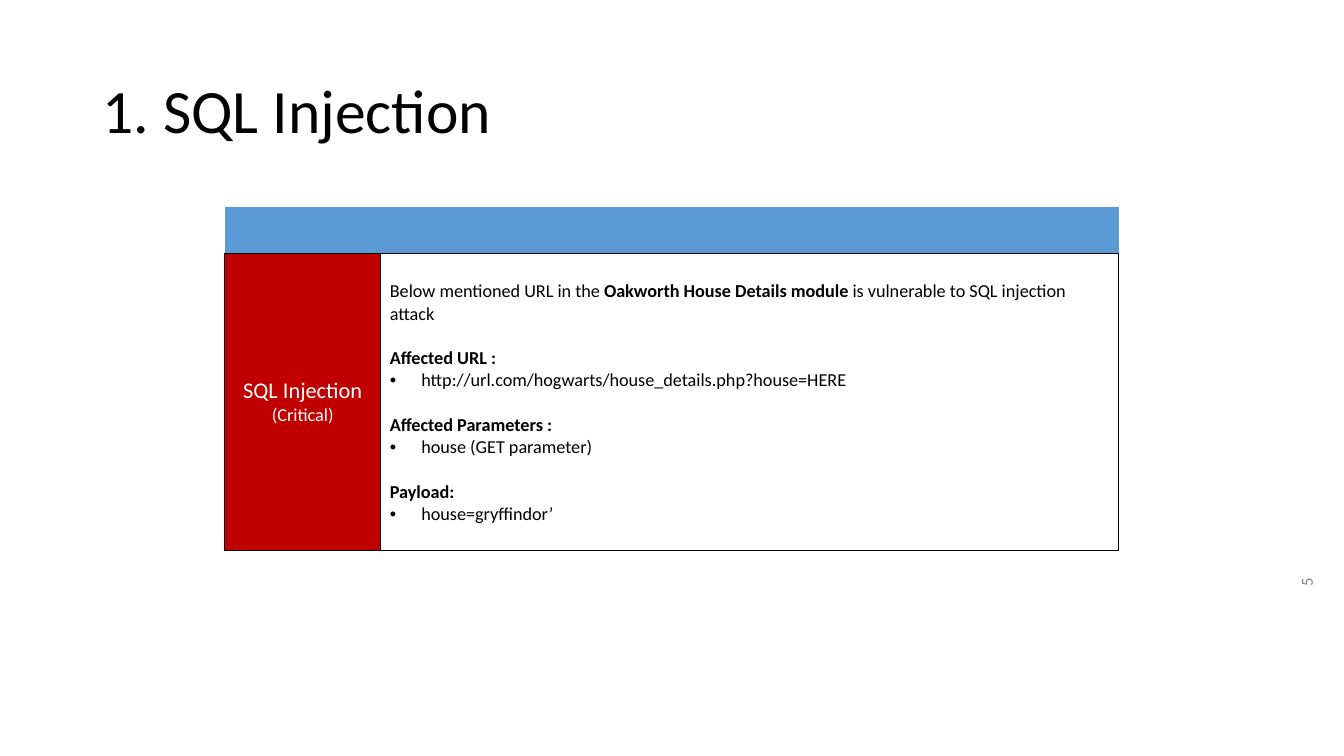
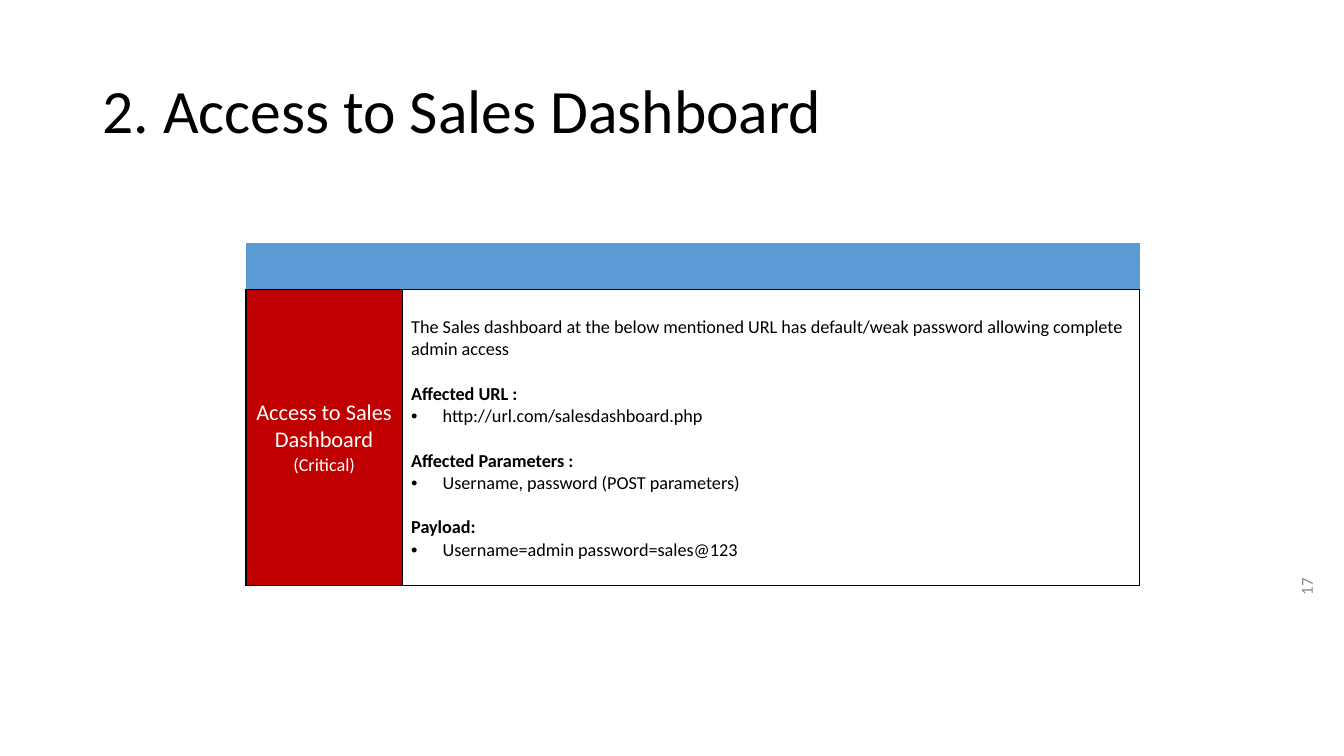
from lxml.etree import SubElement
from pptx import Presentation
from pptx.dml.color import RGBColor
from pptx.enum.text import MSO_ANCHOR, PP_ALIGN
from pptx.oxml.ns import qn
from pptx.util import Pt

BLACK = RGBColor(0x00, 0x00, 0x00)
WHITE = RGBColor(0xFF, 0xFF, 0xFF)
GREY = RGBColor(0x88, 0x88, 0x88)
HEADER_BLUE = RGBColor(0x5B, 0x9B, 0xD5)
CRITICAL_RED = RGBColor(0xC0, 0x00, 0x00)

FONT = "Calibri"
DETAIL_SIZE = 13
TITLE_ONLY = 5


class FindingDeck:
    """Holds the presentation, its style and the slide being built."""

    def __init__(self):
        self.presentation = Presentation()
        self.presentation.slide_width = Pt(960)
        self.presentation.slide_height = Pt(540)
        self.slide = None

    def add_slide(self, title, number):
        layout = self.presentation.slide_layouts[TITLE_ONLY]
        self.slide = self.presentation.slides.add_slide(layout)
        self.add_page_number(number)
        self.add_title(title)

    def style(self, paragraph, size, color=BLACK, align=PP_ALIGN.LEFT, bold=False):
        paragraph.alignment = align
        font = paragraph.font
        font.name = FONT
        font.size = Pt(size)
        font.bold = bold
        font.color.rgb = color

    def add_title(self, text):
        title = self.slide.shapes.title
        title.left, title.top, title.width, title.height = Pt(66), Pt(29), Pt(828), Pt(104)
        frame = title.text_frame
        frame.text = text
        frame.vertical_anchor = MSO_ANCHOR.MIDDLE
        paragraph = frame.paragraphs[0]
        paragraph.line_spacing = 0.9
        self.style(paragraph, 44)

    def add_page_number(self, number):
        box = self.slide.shapes.add_textbox(Pt(881), Pt(440), Pt(104), Pt(36))
        box.rotation = 270
        frame = box.text_frame
        frame.word_wrap = True
        frame.vertical_anchor = MSO_ANCHOR.MIDDLE
        frame.text = str(number)
        self.style(frame.paragraphs[0], 12, GREY, PP_ALIGN.RIGHT)

    def add_finding(self, left, top, label, summary, sections):
        """Add the table; summary is a list of (text, bold) runs."""
        widths, heights = (111.5, 527), (33, 212)
        frame = self.slide.shapes.add_table(
            2, 2, Pt(left), Pt(top), Pt(sum(widths)), Pt(sum(heights)))
        table = frame.table
        table.first_row = table.horz_banding = False
        for column, width in zip(table.columns, widths):
            column.width = Pt(width)
        for row, height in zip(table.rows, heights):
            row.height = Pt(height)

        for header_cell in table.rows[0].cells:
            self.format_cell(header_cell, HEADER_BLUE, bordered_sides="B")
        label_cell, detail_cell = table.rows[1].cells
        self.format_cell(label_cell, CRITICAL_RED)
        self.format_cell(detail_cell, WHITE)
        self.write_label(label_cell, label)
        self.write_details(detail_cell, summary, sections)

    def format_cell(self, cell, color, bordered_sides="LRTB"):
        cell.fill.solid()
        cell.fill.fore_color.rgb = color
        properties = cell._tc.get_or_add_tcPr()
        for index, side in enumerate("LRTB"):
            line = SubElement(properties, qn(f"a:ln{side}"), w=str(Pt(1)))
            if side in bordered_sides:
                fill = SubElement(line, qn("a:solidFill"))
                SubElement(fill, qn("a:srgbClr"), val=str(BLACK))
            else:
                SubElement(line, qn("a:noFill"))
            properties.insert(index, line)

    def write_label(self, cell, label):
        cell.vertical_anchor = MSO_ANCHOR.MIDDLE
        cell.margin_left = cell.margin_right = Pt(6.5)
        name, severity = cell.text_frame.paragraphs[0], cell.text_frame.add_paragraph()
        name.text, severity.text = label, "(Critical)"
        self.style(name, 16, WHITE, PP_ALIGN.CENTER)
        self.style(severity, DETAIL_SIZE, WHITE, PP_ALIGN.CENTER)

    def write_details(self, cell, summary, sections):
        cell.margin_left = cell.margin_right = Pt(6.5)
        cell.margin_top = Pt(19.5)
        frame = cell.text_frame
        paragraph = frame.paragraphs[0]
        for text, bold in summary:
            run = paragraph.add_run()
            run.text = text
            run.font.bold = bold
        self.style(paragraph, DETAIL_SIZE)
        for heading, item in sections:
            paragraph = frame.add_paragraph()
            paragraph.text = heading
            paragraph.space_before = Pt(16)
            self.style(paragraph, DETAIL_SIZE, bold=True)
            paragraph = frame.add_paragraph()
            paragraph.text = item
            self.add_bullet(paragraph)
            self.style(paragraph, DETAIL_SIZE)

    def add_bullet(self, paragraph):
        properties = paragraph._p.get_or_add_pPr()
        properties.set("marL", str(Pt(22.5)))
        properties.set("indent", str(Pt(-22.5)))
        SubElement(properties, qn("a:buFont"), typeface="Arial")
        SubElement(properties, qn("a:buChar"), char="•")


def main():
    deck = FindingDeck()
    deck.add_slide("1. SQL Injection", 5)
    deck.add_finding(
        160.5, 148, "SQL Injection",
        [("Below mentioned URL in the ", False),
         ("Oakworth House Details module ", True),
         ("is vulnerable to SQL injection attack", False)],
        [("Affected URL :", "http://url.com/hogwarts/house_details.php?house=HERE"),
         ("Affected Parameters :", "house (GET parameter)"),
         ("Payload:", "house=gryffindor’")])

    deck.add_slide("2. Access to Sales Dashboard", 17)
    deck.add_finding(
        175.75, 173.5, "Access to Sales Dashboard",
        [("The Sales dashboard at the below mentioned URL has default/weak "
          "password allowing complete admin access", False)],
        [("Affected URL :", "http://url.com/salesdashboard.php"),
         ("Affected Parameters :", "Username, password (POST parameters)"),
         ("Payload:", "Username=admin password=sales@123")])
    deck.presentation.save("out.pptx")


if __name__ == "__main__":
    main()
